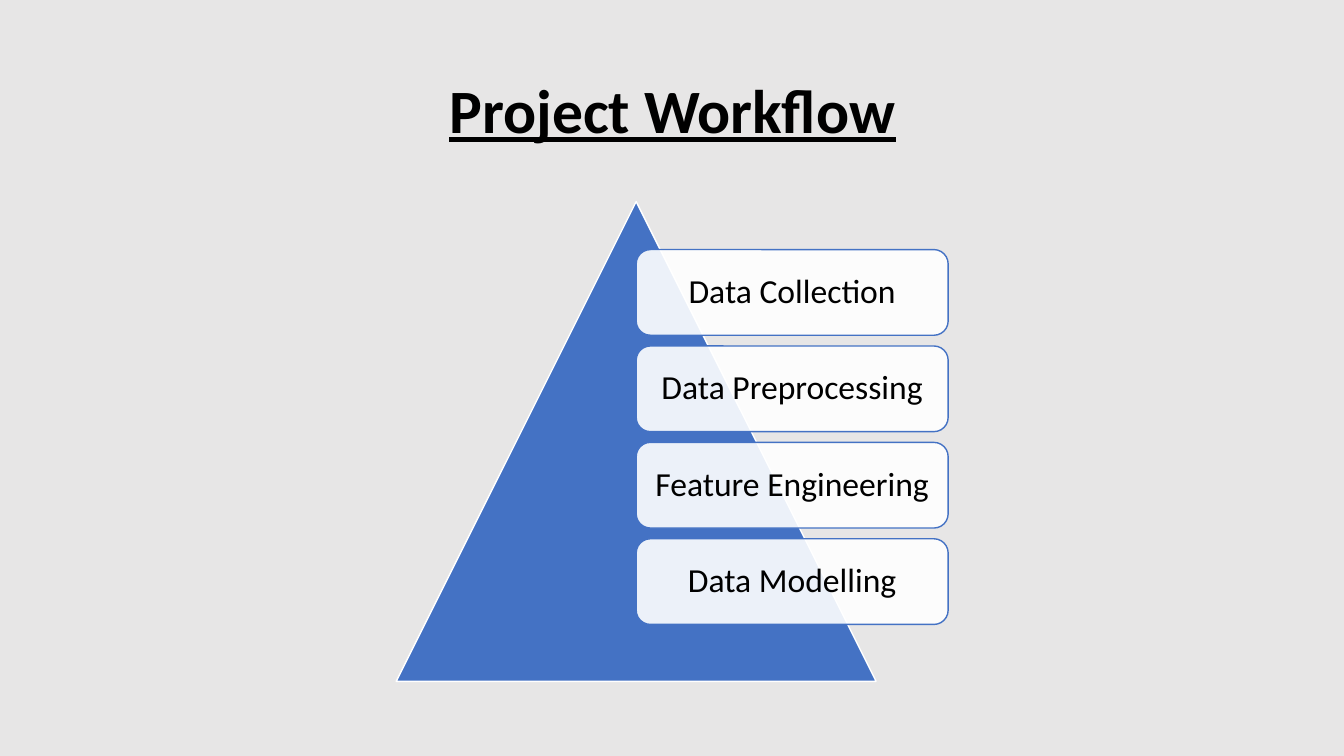
from dataclasses import dataclass

from lxml.etree import SubElement
from pptx import Presentation
from pptx.dml.color import RGBColor
from pptx.enum.shapes import MSO_SHAPE as Preset
from pptx.enum.text import MSO_ANCHOR as Anchor, PP_ALIGN as Align
from pptx.oxml.ns import qn
from pptx.shapes.autoshape import Shape
from pptx.shapes.shapetree import GroupShapes
from pptx.text.text import TextFrame
from pptx.util import Inches, Pt

FONT = "Calibri"
BLACK, WHITE, BLUE, GREY = "000000", "FFFFFF", "4472C4", "E7E6E6"


@dataclass(frozen=True)
class Box:
    left: float
    top: float
    width: float
    height: float

    def emu(self) -> tuple[int, int, int, int]:
        return tuple(Inches(v) for v in (self.left, self.top, self.width, self.height))


@dataclass(frozen=True)
class Step:
    label: str
    row: int

    def box(self) -> Box:
        pitch = STEP_HEIGHT * 9 / 8
        return Box(
            PYRAMID.left + PYRAMID.width / 2,
            PYRAMID.top + PYRAMID.height / 10 + self.row * pitch,
            PYRAMID.width * 0.65,
            STEP_HEIGHT,
        )


PYRAMID = Box(3.93, 2, 4.76, 4.76)
STEP_HEIGHT = 0.85
LABELS = ("Data Collection", "Data Preprocessing", "Feature Engineering", "Data Modelling")
STEPS = [Step(label, row) for row, label in enumerate(LABELS)]


def colour(value: str) -> RGBColor:
    return RGBColor.from_string(value)


def write(frame: TextFrame, text: str, size: float, heading: bool = False) -> None:
    frame.word_wrap = True
    frame.vertical_anchor = Anchor.MIDDLE
    paragraph = frame.paragraphs[0]
    paragraph.alignment = Align.CENTER
    paragraph.line_spacing = 0.9
    run = paragraph.add_run()
    run.text = text
    run.font.name = FONT
    run.font.size = Pt(size)
    run.font.bold = run.font.underline = heading
    run.font.color.rgb = colour(BLACK)


def draw(shapes: GroupShapes, preset: Preset, box: Box, fill: str, line: str) -> Shape:
    shape = shapes.add_shape(preset, *box.emu())
    shape.shadow.inherit = False
    shape.fill.solid()
    shape.fill.fore_color.rgb = colour(fill)
    shape.line.color.rgb = colour(line)
    shape.line.width = Pt(1)
    return shape


def set_opacity(shape: Shape, percent: int) -> None:
    solid = shape._element.spPr.find(qn("a:solidFill"))
    SubElement(solid[0], qn("a:alpha")).set("val", str(percent * 1000))


def draw_step(shapes: GroupShapes, step: Step) -> None:
    card = draw(shapes, Preset.ROUNDED_RECTANGLE, step.box(), WHITE, BLUE)
    set_opacity(card, 90)
    frame = card.text_frame
    frame.margin_left = frame.margin_right = Inches(0.1)
    frame.margin_top = frame.margin_bottom = Inches(0.1)
    write(frame, step.label, 24)


deck = Presentation()
deck.slide_width, deck.slide_height = Inches(13.33), Inches(7.5)
slide = deck.slides.add_slide(deck.slide_layouts.get_by_name("Title Only"))
slide.background.fill.solid()
slide.background.fill.fore_color.rgb = colour(GREY)

heading = slide.shapes.title
heading.left, heading.top, heading.width, heading.height = Box(0.92, 0.4, 11.5, 1.45).emu()
write(heading.text_frame, "Project Workflow", 44, heading=True)

workflow = slide.shapes.add_group_shape().shapes
draw(workflow, Preset.ISOSCELES_TRIANGLE, PYRAMID, BLUE, WHITE)
for step in STEPS:
    draw_step(workflow, step)

deck.save("out.pptx")
